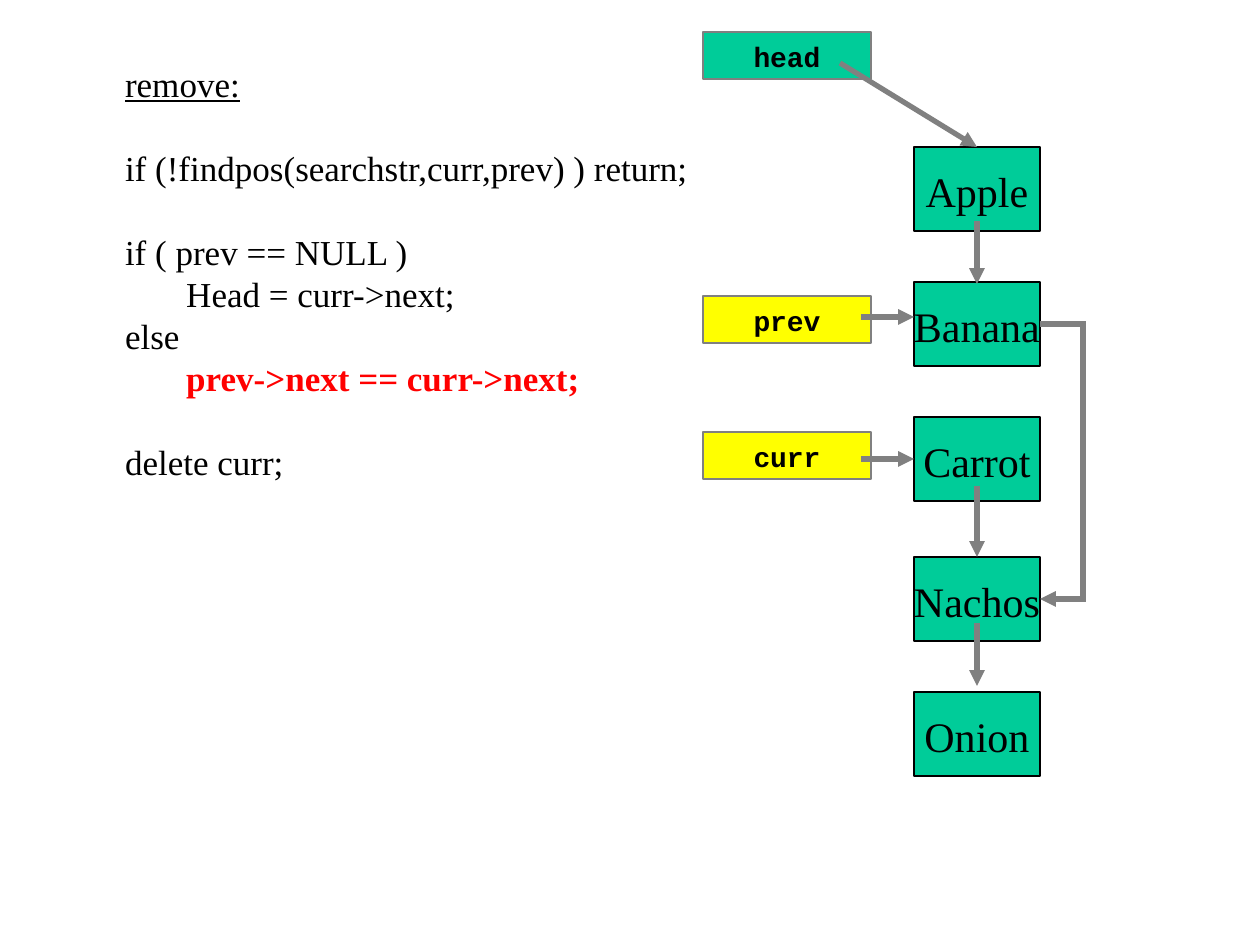
from lxml import etree
from pptx import Presentation
from pptx import util as u
from pptx.dml.color import RGBColor
from pptx.enum import shapes, text
from pptx.oxml.ns import qn

PX = 914400 / 126  # EMU in one px
SLIDE = (1260, 945)
COLORS = {"green": "00CC99", "yellow": "FFFF00", "gray": "808080",
          "black": "000000", "red": "FF0000"}
SERIF, MONO = "Times New Roman", "Courier New"

NODE_X, NODE_W, NODE_H = 914, 126, 84
NODES = [("Apple", 147), ("Banana", 282), ("Carrot", 417),
         ("Nachos", 557), ("Onion", 692)]
TAG_X, TAG_W, TAG_H = 703, 168, 47
TAGS = [("head", 32, "green"), ("prev", 296, "yellow"), ("curr", 432, "yellow")]

NODE_MID, NODE_RIGHT = NODE_X + NODE_W // 2, NODE_X + NODE_W
POINTER_X = 861
ARROWS = [
    ((840, 63), (NODE_MID, 147)),
    ((NODE_MID, 221), (NODE_MID, 284)),
    ((NODE_MID, 486), (NODE_MID, 557)),
    ((NODE_MID, 623), (NODE_MID, 686)),
    ((POINTER_X, 317), (NODE_X, 317)),
    ((POINTER_X, 459), (NODE_X, 459)),
]
BYPASS = [(NODE_RIGHT, 324), (1083, 324), (1083, 599), (NODE_RIGHT, 599)]

# line of code, blank lines above it, style
CODE_BOX = (113, 54, 588, 433)
CODE = [
    ("remove:", 0, "underline"),
    ("if (!findpos(searchstr,curr,prev) ) return;", 1, None),
    ("if ( prev == NULL )", 1, None),
    ("       Head = curr->next;", 0, None),
    ("else", 0, None),
    ("       prev->next == curr->next;", 0, "changed"),
    ("delete curr;", 1, None),
]


def px(n):
    return u.Emu(round(n * PX))


def rgb(name):
    return RGBColor.from_string(COLORS[name])


def set_frame(tf, wrap, anchor):
    tf.word_wrap = wrap
    tf.vertical_anchor = anchor
    tf.margin_left = tf.margin_right = px(12)
    tf.margin_top, tf.margin_bottom = px(8), px(4)


def add_run(p, words, size, font, bold=False, color="black"):
    p.line_spacing = u.Pt(size * 1.2)
    r = p.add_run()
    r.text = words
    r.font.size, r.font.name, r.font.bold = u.Pt(size), font, bold
    r.font.color.rgb = rgb(color)
    return r


def add_box(s, box, words, fill, line, size, font, bold, wrap, anchor):
    sp = s.shapes.add_shape(shapes.MSO_SHAPE.RECTANGLE, *map(px, box))
    sp.shadow.inherit = False
    sp.fill.solid()
    sp.fill.fore_color.rgb = rgb(fill)
    sp.line.color.rgb = rgb(line)
    sp.line.width = u.Pt(0.75)
    set_frame(sp.text_frame, wrap, anchor)
    p = sp.text_frame.paragraphs[0]
    p.alignment = text.PP_ALIGN.CENTER
    add_run(p, words, size, font, bold)


def style_arrow(sp):
    """Gray 3 pt line with a triangle at its end and no shadow."""
    sp.line.color.rgb = rgb("gray")
    sp.line.width = u.Pt(3)
    ln = sp.line._get_or_add_ln()
    etree.SubElement(ln, qn("a:miter"), lim="800000")
    etree.SubElement(ln, qn("a:tailEnd"), type="triangle")
    if sp._element.spPr.find(qn("a:effectLst")) is None:
        etree.SubElement(sp._element.spPr, qn("a:effectLst"))


def add_code(s):
    tf = s.shapes.add_textbox(*map(px, CODE_BOX)).text_frame
    set_frame(tf, False, text.MSO_ANCHOR.TOP)
    for i, (words, blanks, style) in enumerate(CODE):
        p = tf.add_paragraph() if i else tf.paragraphs[0]
        if blanks:
            p.space_before = u.Pt(24 * blanks)
        changed = style == "changed"
        r = add_run(p, words, 20, SERIF, changed, "red" if changed else "black")
        r.font.underline = style == "underline"


def main():
    prs = Presentation()
    prs.slide_width, prs.slide_height = map(px, SLIDE)
    s = prs.slides.add_slide(prs.slide_layouts[6])
    for name, y in NODES:
        add_box(s, (NODE_X, y, NODE_W, NODE_H), name, "green", "black",
                24, SERIF, False, False, text.MSO_ANCHOR.MIDDLE)
    for name, y, fill in TAGS:
        add_box(s, (TAG_X, y, TAG_W, TAG_H), name, fill, "gray",
                16, MONO, True, True, text.MSO_ANCHOR.TOP)
    add_code(s)
    for start, end in ARROWS:
        style_arrow(s.shapes.add_connector(
            shapes.MSO_CONNECTOR.STRAIGHT, *map(px, start + end)))
    path = s.shapes.build_freeform(*BYPASS[0], scale=PX)
    path.add_line_segments(BYPASS[1:], close=False)
    bypass = path.convert_to_shape()
    bypass.shadow.inherit = False
    bypass.fill.background()
    style_arrow(bypass)
    prs.save("out.pptx")


if __name__ == "__main__":
    main()
